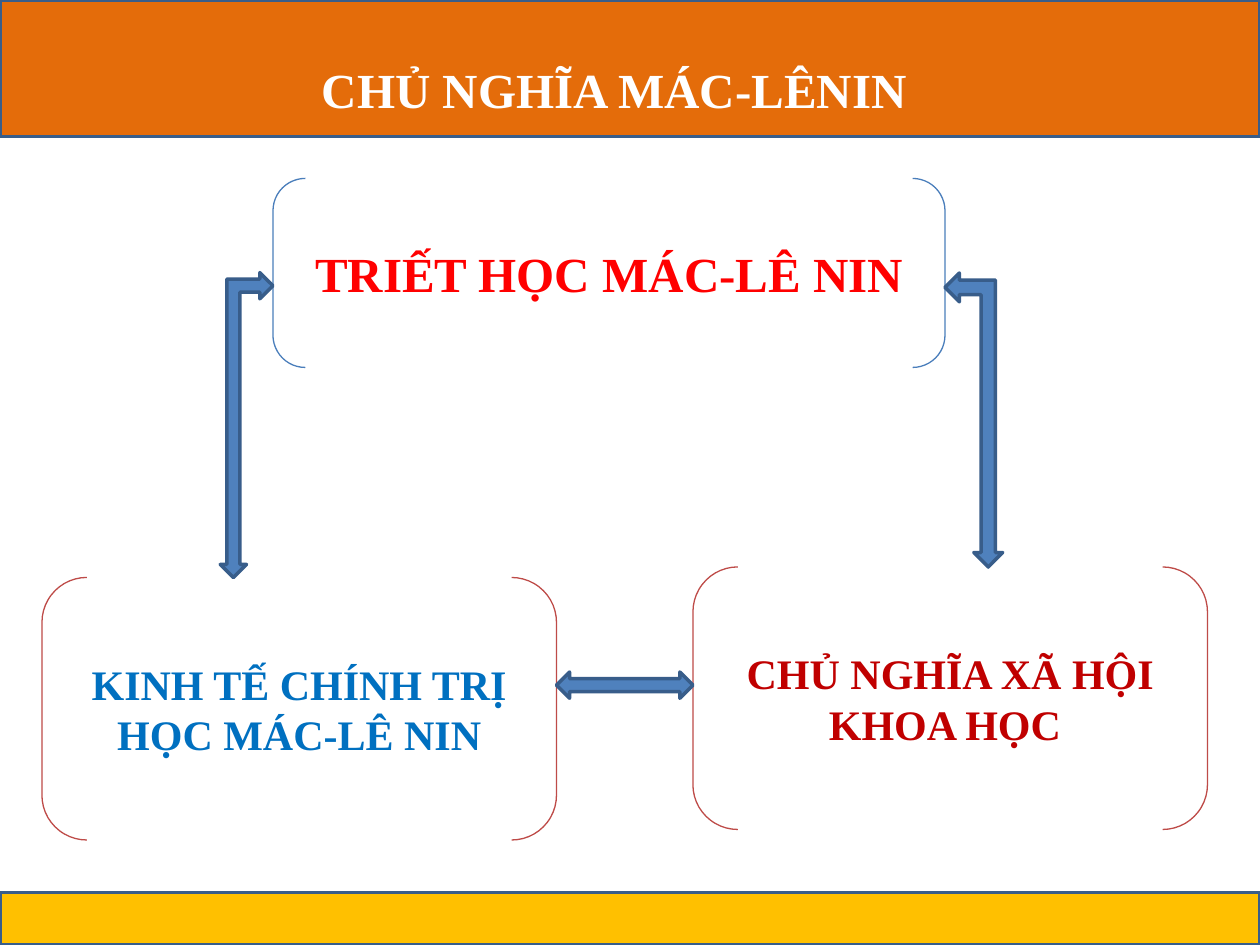
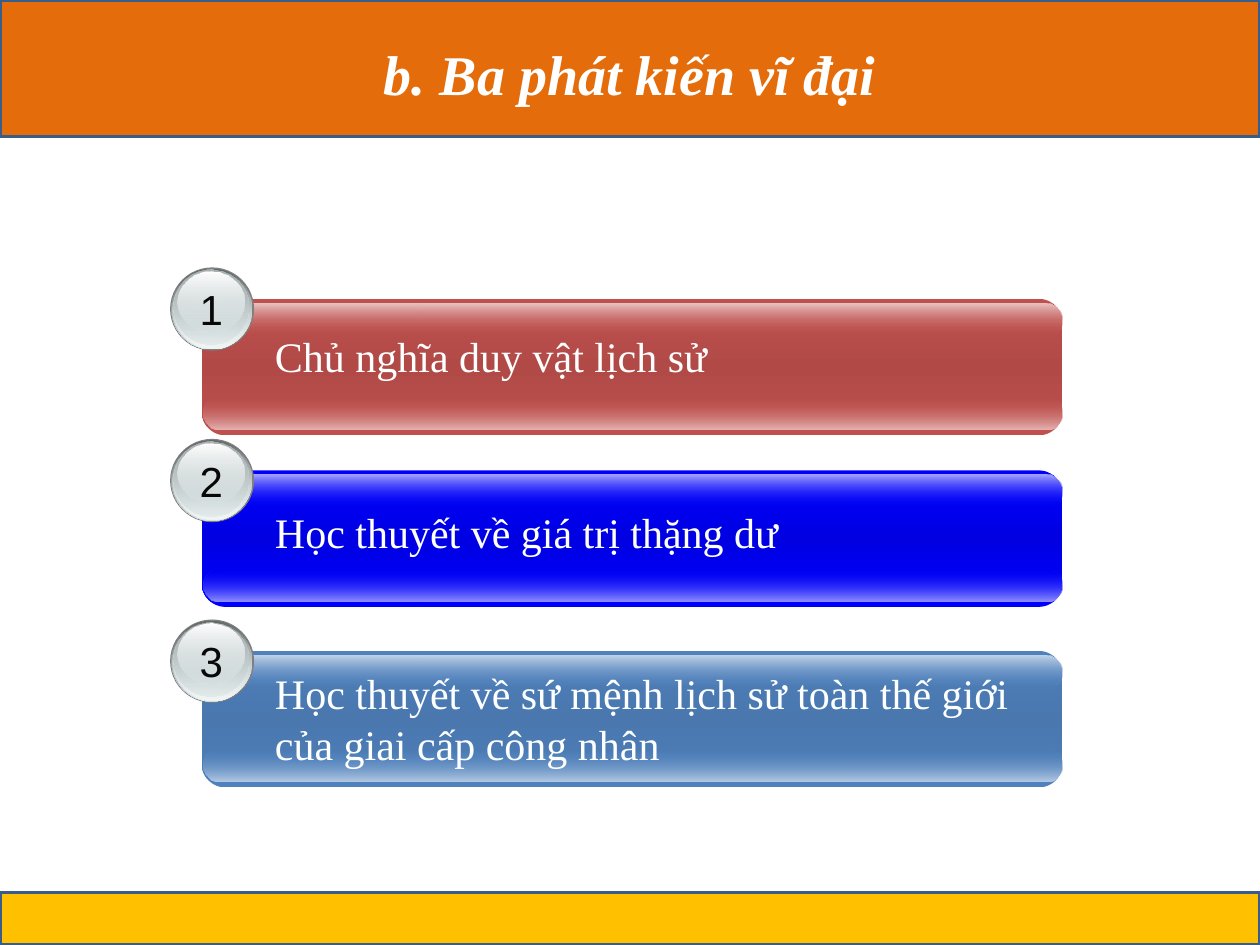
"""Build two slides on Marxism-Leninism: its three parts and three great discoveries."""
from dataclasses import dataclass

from pptx import Presentation
from pptx.dml.color import RGBColor
from pptx.enum.shapes import MSO_SHAPE
from pptx.enum.text import MSO_ANCHOR, PP_ALIGN
from pptx.oxml import parse_xml
from pptx.oxml.ns import nsdecls, qn
from pptx.util import Pt

RECT, ROUND, OVAL = MSO_SHAPE.RECTANGLE, MSO_SHAPE.ROUNDED_RECTANGLE, MSO_SHAPE.OVAL
BRACKETS, TWO_WAY = MSO_SHAPE.DOUBLE_BRACKET, MSO_SHAPE.LEFT_RIGHT_ARROW
LEFT, CENTER = PP_ALIGN.LEFT, PP_ALIGN.CENTER
TOP, MIDDLE = MSO_ANCHOR.TOP, MSO_ANCHOR.MIDDLE


@dataclass(frozen=True)
class Theme:
    serif: str = "Times New Roman"
    sans: str = "Arial"
    header: str = "E46C0A"
    footer: str = "FFC000"
    edge: str = "385D8A"
    arrow: str = "4F81BD"
    white: str = "FFFFFF"
    label: str = "FEFFFF"
    digit: str = "080808"
    title_size: int = 32
    heading_size: int = 28
    body_size: int = 24
    edge_width: float = 2
    bracket_width: float = 0.75


T = Theme()
W, H = 720, 540
BANDS = [((0, 0, W, 78), T.header), ((0, 510, W, 30), T.footer)]

PARTS = [
    ("CHỦ NGHĨA MÁC-LÊNIN", (156, 12, 390, 78), None, T.white, T.heading_size),
    ("TRIẾT HỌC MÁC-LÊ NIN", (156, 102, 384, 108), "4A7EBB", "FF0000", T.heading_size),
    ("KINH TẾ CHÍNH TRỊ HỌC MÁC-LÊ NIN", (24, 330, 294, 150), "BE4B48", "0070C0", T.body_size),
    ("CHỦ NGHĨA XÃ HỘI KHOA HỌC ", (396, 324, 294, 150), "BE4B48", "C00000", T.body_size),
]
ELBOWS = [
    ((540, 164.25), (564.75, 324), 8.25),
    ((156, 163.25), (133.4, 330), 7.5),
]
LINK = (318, 384, 78, 15)

TITLE = "b. Ba phát kiến vĩ đại"
DISCOVERIES = [
    dict(text="Chủ nghĩa duy vật lịch sử", top=170.8, text_dy=14.3, text_h=36,
         base="C0504D", dark="B14A47", low="E5B7B6", high="EAC5C4"),
    dict(text="Học thuyết về giá trị thặng dư", top=268.8, text_dy=17.2, text_h=36,
         base="0000FF", dark="0000E3", low="9696FF", high="AAAAFF"),
    dict(text="Học thuyết về sứ mệnh lịch sử toàn thế giới của giai cấp công nhân",
         top=372, text_dy=6, text_h=65,
         base="4F81BD", dark="4977AE", low="B7CBE4", high="C4D5E9"),
]
BAR_X, BAR_W, BAR_H = 115.2, 492, 78
GLOSS_X, GLOSS_W, GLOSS_H = 116.5, 490.5, 18.7
BADGE_X, BADGE_RISE = 97.2, 18
BADGE_LAYERS = [
    ((0, 0, 48, 47.6), "808080"),
    ((0.7, 0.7, 46.2, 46.2), [("636869", 100), ("D6E1E2", 100)]),
    ((1.3, 1.2, 45, 45), [("D6E1E2", 0), ("F1F5F5", 100)]),
    ((2, 1.5, 42.6, 42.6), [("AAB2B3", 100), ("D6E1E2", 48)]),
    ((4.4, 2.6, 38.2, 34), [("FFFFFF", 100), ("D6E1E2", 38)]),
]
BADGE_TEXT = (8.6, 5.8, 30, 36)


def rgb(code):
    return RGBColor.from_string(code)


def set_gradient(sp, stops):
    last = len(stops) - 1
    marks = "".join(
        f'<a:gs pos="{100000 * i // last}"><a:srgbClr val="{color}">'
        f'<a:alpha val="{opacity * 1000}"/></a:srgbClr></a:gs>'
        for i, (color, opacity) in enumerate(stops))
    sp.fill.background()
    spPr = sp._element.spPr
    spPr.replace(spPr.find(qn("a:noFill")), parse_xml(
        f'<a:gradFill {nsdecls("a")} rotWithShape="1"><a:gsLst>{marks}</a:gsLst>'
        '<a:lin ang="5400000" scaled="0"/></a:gradFill>'))


def style(sp, fill=None, line=None, width=T.edge_width):
    sp.shadow.inherit = False
    if fill is None:
        sp.fill.background()
    elif isinstance(fill, str):
        sp.fill.solid()
        sp.fill.fore_color.rgb = rgb(fill)
    else:
        set_gradient(sp, fill)
    if line:
        sp.line.color.rgb = rgb(line)
        sp.line.width = Pt(width)
    else:
        sp.line.fill.background()


def add_shape(shapes, kind, box, fill=None, line=None, width=T.edge_width, adj=()):
    sp = shapes.add_shape(kind, *map(Pt, box))
    for i, value in enumerate(adj):
        sp.adjustments[i] = value
    style(sp, fill, line, width)
    return sp


def write(sp, text, size, color, font=T.serif, bold=False, italic=False,
          align=CENTER, anchor=MIDDLE):
    tf = sp.text_frame
    tf.word_wrap = True
    tf.vertical_anchor = anchor
    tf.text = text
    p = tf.paragraphs[0]
    p.alignment = align
    f = p.runs[0].font
    f.name, f.size, f.bold, f.italic = font, Pt(size), bold, italic
    f.color.rgb = rgb(color)


def add_text(slide, box, *args, **kwargs):
    write(slide.shapes.add_textbox(*map(Pt, box)), *args, **kwargs)


def add_elbow(slide, side_tip, down_tip, head):
    (sx, sy), (dx, dy) = side_tip, down_tip
    d = 1 if dx > sx else -1
    h, s = head, head / 2
    points = [
        (sx, sy), (sx + d * h, sy + h), (sx + d * h, sy + s), (dx - d * s, sy + s),
        (dx - d * s, dy - h), (dx - d * h, dy - h), (dx, dy), (dx + d * h, dy - h),
        (dx + d * s, dy - h), (dx + d * s, sy - s), (sx + d * h, sy - s), (sx + d * h, sy - h),
    ]
    points = [(Pt(x), Pt(y)) for x, y in points]
    fb = slide.shapes.build_freeform(*points[0])
    fb.add_line_segments(points[1:], close=True)
    style(fb.convert_to_shape(), T.arrow, T.edge)


def new_slide(prs):
    slide = prs.slides.add_slide(prs.slide_layouts[6])
    for box, color in BANDS:
        add_shape(slide.shapes, RECT, box, color, T.edge)
    return slide


def build_parts(prs):
    slide = new_slide(prs)
    for text, box, line, color, size in PARTS:
        sp = add_shape(slide.shapes, BRACKETS, box, line=line,
                       width=T.bracket_width, adj=[0.171])
        write(sp, text, size, color, bold=True)
    for elbow in ELBOWS:
        add_elbow(slide, *elbow)
    add_shape(slide.shapes, TWO_WAY, LINK, T.arrow, T.edge, adj=[0.5, 0.5])


def add_bar(slide, top, base, dark, low, high):
    shapes = slide.shapes.add_group_shape().shapes
    add_shape(shapes, ROUND, (BAR_X, top, BAR_W, BAR_H),
              [(base, 100), (dark, 100), (base, 100)], adj=[0.175])
    for dy, stops in [(56, [(base, 0), (low, 100)]), (2.6, [(high, 100), (base, 0)])]:
        add_shape(shapes, ROUND, (GLOSS_X, top + dy, GLOSS_W, GLOSS_H), stops, adj=[0.5])


def add_badge(slide, top, number):
    def place(box):
        x, y, w, h = box
        return BADGE_X + x, top + y, w, h

    shapes = slide.shapes.add_group_shape().shapes
    for box, fill in BADGE_LAYERS:
        add_shape(shapes, OVAL, place(box), fill)
    add_text(slide, place(BADGE_TEXT), str(number), T.body_size, T.digit,
             font=T.sans, anchor=TOP)


def build_discoveries(prs):
    slide = new_slide(prs)
    add_text(slide, (36, 0, 648, 84), TITLE, T.title_size, T.white, bold=True, italic=True)
    for number, d in enumerate(DISCOVERIES, 1):
        top = d["top"]
        add_bar(slide, top, d["base"], d["dark"], d["low"], d["high"])
        add_badge(slide, top - BADGE_RISE, number)
        add_text(slide, (150, top + d["text_dy"], 444, d["text_h"]), d["text"],
                 T.body_size, T.label, align=LEFT, anchor=TOP)


def main():
    prs = Presentation()
    prs.slide_width, prs.slide_height = Pt(W), Pt(H)
    build_parts(prs)
    build_discoveries(prs)
    prs.save("out.pptx")


if __name__ == "__main__":
    main()
